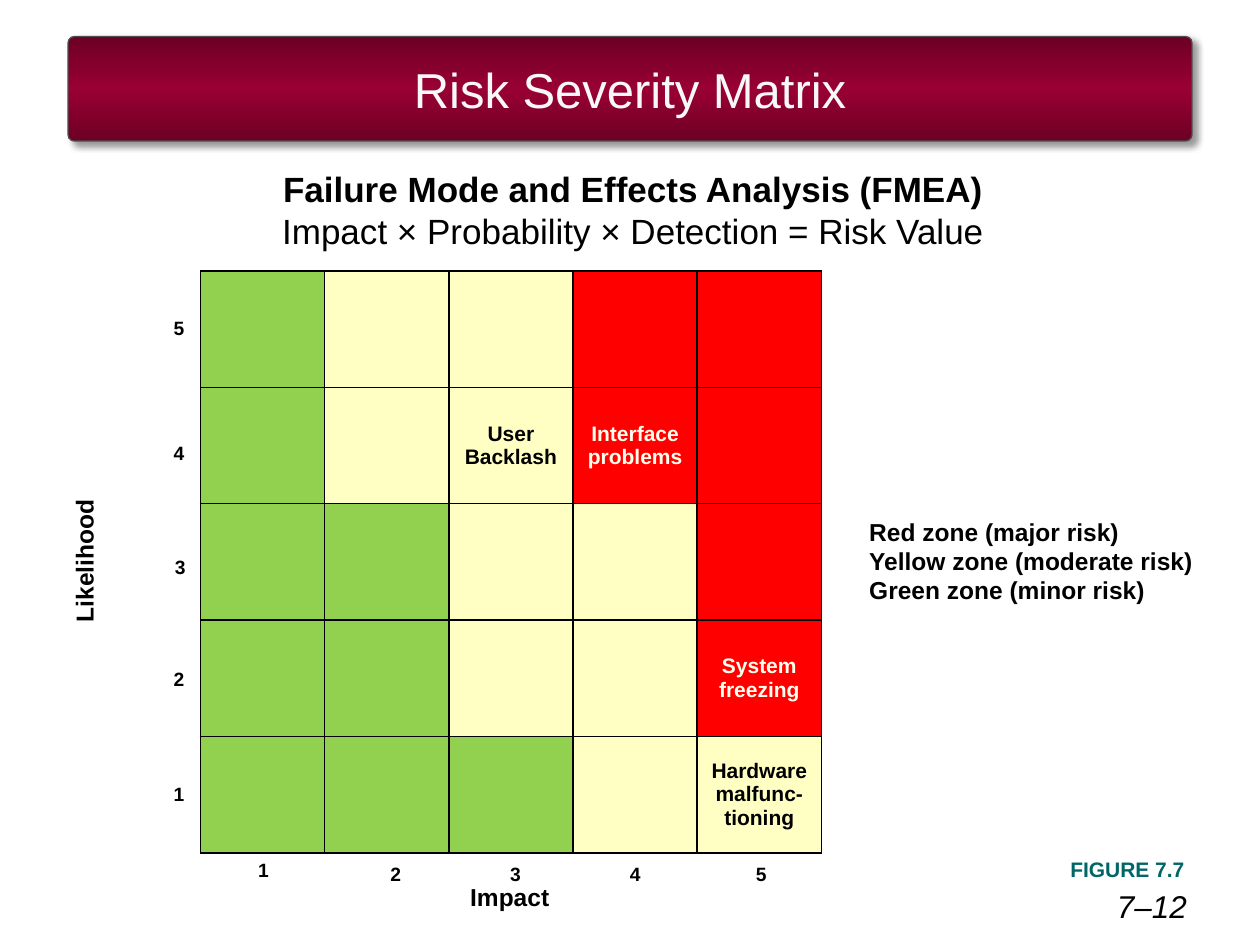
from lxml.etree import SubElement
from pptx import Presentation
from pptx.dml.color import RGBColor
from pptx.enum.shapes import MSO_SHAPE
from pptx.enum.text import MSO_ANCHOR, PP_ALIGN
from pptx.oxml import parse_xml
from pptx.oxml.ns import nsdecls, qn
from pptx.util import Inches, Pt

# Content
COLORS = {"black": "000000", "title": "F8F8F8", "edge": "6D0024", "middle": "990033",
          "outline": "4D4D4D", "figure": "006666", "light": "FFFFEF",
          "G": "92D050", "Y": "FFFFC4", "R": "FF0000"}
TITLE = "Risk Severity Matrix"
HEADING = "Failure Mode and Effects Analysis (FMEA)"
FORMULA = "Impact × Probability × Detection = Risk Value"
ZONES = ["GYYRR", "GYYRR", "GGYYR", "GGYYR", "GGGYY"]
RISKS = {(1, 2): "User Backlash", (1, 3): "Interface problems",
         (3, 4): "System freezing", (4, 4): "Hardware malfunc-tioning"}
LEGEND = ["Red zone (major risk)", "Yellow zone (moderate risk)", "Green zone (minor risk)"]
LIKELIHOOD = [("5", 1.28, 2.46), ("4", 1.28, 3.45), ("3", 1.29, 4.36),
              ("2", 1.28, 5.25), ("1", 1.28, 6.16)]
IMPACT = [("1", 1.95, 6.76), ("2", 3, 6.79), ("3", 3.95, 6.79),
          ("4", 4.9, 6.79), ("5", 5.9, 6.79)]
GRID = (1.59, 2.15, 4.93, 4.62)

prs = Presentation()
prs.slide_width, prs.slide_height = Inches(10), Inches(7.5)
s = prs.slides.add_slide(prs.slide_layouts[6])


def rgb(name):
    return RGBColor.from_string(COLORS[name])


def style(p, size, color="black", bold=True, align=PP_ALIGN.LEFT):
    p.alignment = align
    p.font.name, p.font.size, p.font.bold = "Arial", Pt(size), bold
    p.font.color.rgb = rgb(color)


def add_text(box, lines, size, wrap=True, **look):
    sp = s.shapes.add_textbox(*map(Inches, box))
    tf = sp.text_frame
    tf.word_wrap = wrap
    tf.text = "\n".join(lines)
    for p in tf.paragraphs:
        style(p, size, **look)
    return sp


def add_border(cell):
    tcPr = cell._tc.get_or_add_tcPr()
    for i, side in enumerate(("lnL", "lnR", "lnT", "lnB")):
        ln = parse_xml(f'<a:{side} {nsdecls("a")} w="{Pt(1)}"><a:solidFill>'
                       f'<a:srgbClr val="{COLORS["black"]}"/></a:solidFill></a:{side}>')
        tcPr.insert(i, ln)


# Title banner
banner = s.shapes.add_shape(MSO_SHAPE.ROUNDED_RECTANGLE, Inches(0.54), Inches(0.29),
                            Inches(8.92), Inches(0.83))
banner.adjustments[0] = 0.06
banner.line.color.rgb, banner.line.width = rgb("outline"), Pt(0.75)
banner.fill.gradient()
banner.fill.gradient_angle = 270
stops = banner.fill._fill._gradFill.find(qn("a:gsLst"))
stops.clear()
for pos, name in ((0, "edge"), (50, "middle"), (100, "edge")):
    gs = SubElement(stops, qn("a:gs"), pos=str(pos * 1000))
    SubElement(gs, qn("a:srgbClr"), val=COLORS[name])
banner.shadow.inherit = False
shadow = SubElement(banner._element.spPr.find(qn("a:effectLst")), qn("a:outerShdw"),
                    blurRad=str(Pt(4)), dist=str(Pt(3)), dir="2700000",
                    algn="tl", rotWithShape="0")
SubElement(SubElement(shadow, qn("a:srgbClr"), val=COLORS["black"]),
           qn("a:alpha"), val="40000")
tf = banner.text_frame
tf.text, tf.vertical_anchor = TITLE, MSO_ANCHOR.MIDDLE
style(tf.paragraphs[0], 28, "title", False, PP_ALIGN.CENTER)

# Heading with the formula below it
p = add_text((1, 1.28, 8.05, 0.77), [HEADING], 20,
             align=PP_ALIGN.CENTER).text_frame.paragraphs[0]
p.add_line_break()
r = p.add_run()
r.text, r.font.bold = FORMULA, False

# Risk matrix
n = len(ZONES)
table = s.shapes.add_table(n, n, *map(Inches, GRID)).table
table.first_row = table.horz_banding = False
for i, zones in enumerate(ZONES):
    table.columns[i].width = Inches(GRID[2] / n)
    table.rows[i].height = Inches(GRID[3] / n)
    for j, zone in enumerate(zones):
        cell = table.cell(i, j)
        cell.fill.solid()
        cell.fill.fore_color.rgb = rgb(zone)
        add_border(cell)
        if (i, j) in RISKS:
            cell.text, cell.vertical_anchor = RISKS[i, j], MSO_ANCHOR.MIDDLE
            style(cell.text_frame.paragraphs[0], 12,
                  "light" if zone == "R" else "black", align=PP_ALIGN.CENTER)

# Axis names and scales
add_text((-0.23, 4.28, 1.8, 0.34), ["Likelihood"], 14, align=PP_ALIGN.CENTER).rotation = 270
add_text((3.6, 6.95, 0.89, 0.34), ["Impact"], 14, align=PP_ALIGN.CENTER)
for value, left, top in LIKELIHOOD + IMPACT:
    add_text((left, top, 0.3, 0.29), [value], 11)

# Legend, figure number and page number
add_text((6.8, 4.05, 2.78, 0.81), LEGEND, 14, wrap=False)
add_text((8.1, 6.75, 1.4, 0.3), ["FIGURE 7.7"], 12, color="figure", align=PP_ALIGN.RIGHT)
tf = add_text((7.1, 7.17, 2.32, 0.17), ["7–12"], 18, bold=False,
              align=PP_ALIGN.RIGHT).text_frame
tf.margin_left = tf.margin_right = tf.margin_top = tf.margin_bottom = 0
tf.vertical_anchor = MSO_ANCHOR.BOTTOM
tf.paragraphs[0].font.italic = True

prs.save("out.pptx")
